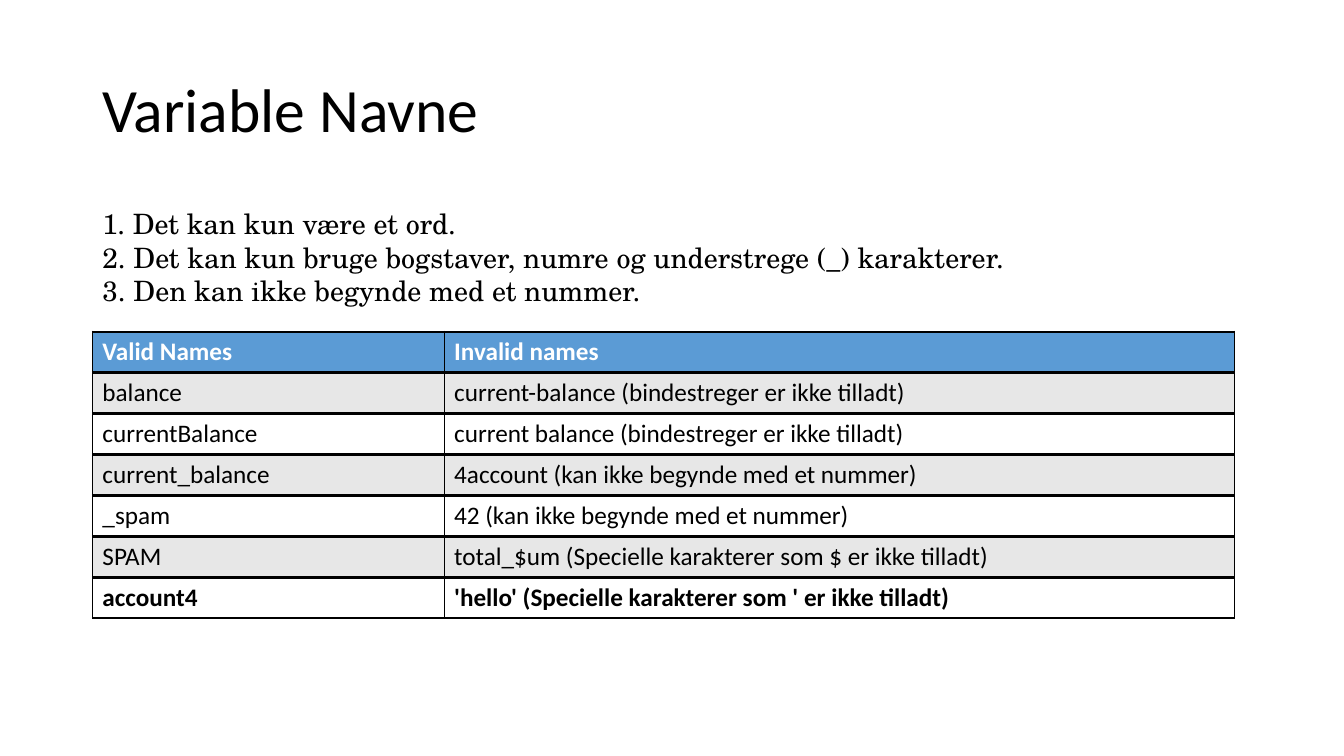
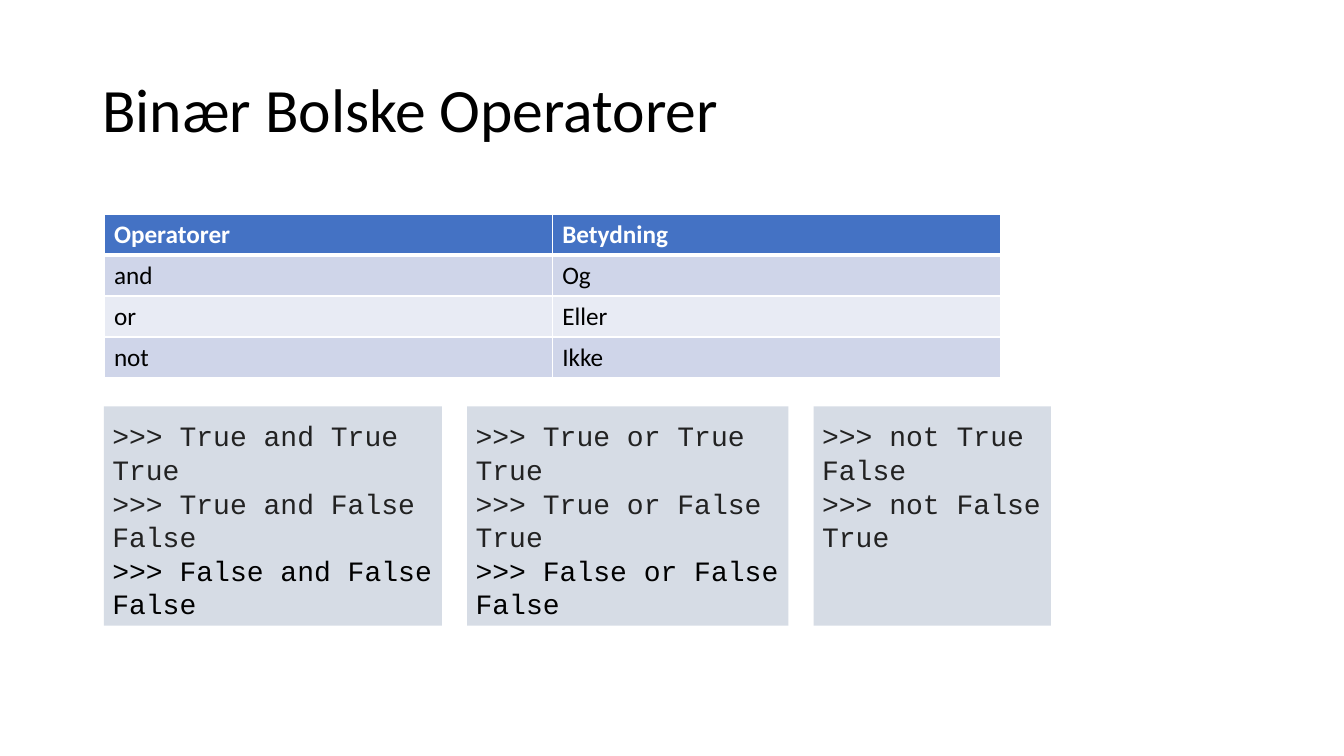
from lxml import etree
from pptx import Presentation
from pptx.dml.color import RGBColor
from pptx.enum.shapes import MSO_SHAPE
from pptx.enum.text import MSO_ANCHOR, PP_ALIGN
from pptx.oxml.ns import qn
from pptx.util import Emu, Pt

RECTANGLE = MSO_SHAPE.RECTANGLE
TOP, MIDDLE = MSO_ANCHOR.TOP, MSO_ANCHOR.MIDDLE
LEFT = PP_ALIGN.LEFT

BLACK = RGBColor(0x00, 0x00, 0x00)
WHITE = RGBColor(0xFF, 0xFF, 0xFF)
DARK_GRAY = RGBColor(0x22, 0x22, 0x22)
LIGHT_GRAY = RGBColor(0xE7, 0xE7, 0xE7)
SKY_BLUE = RGBColor(0x5B, 0x9B, 0xD5)
BLUE = RGBColor(0x44, 0x72, 0xC4)
BLUE_TINT = RGBColor(0xCF, 0xD5, 0xE9)
PALE_TINT = RGBColor(0xE8, 0xEB, 0xF4)
CODE_FILL = RGBColor(0xD6, 0xDC, 0xE5)

SANS, SERIF, MONO = "Calibri", "TeX Gyre Schola", "Courier New"
EMU_PER_PX = 9525
ROW_H = 39
CHAR_W, CODE_PADDING, CODE_GAP = 16, 18, 24
GRAY_CODE_LINES = 4

NAME_RULES = [
    " Det kan kun være et ord.",
    " Det kan kun bruge bogstaver, numre og understrege (_) karakterer.",
    " Den kan ikke begynde med et nummer.",
]
NAME_ROWS = [
    ("Valid Names", "Invalid names"),
    ("balance", "current-balance (bindestreger er ikke tilladt)"),
    ("currentBalance", "current balance (bindestreger er ikke tilladt)"),
    ("current_balance", "4account (kan ikke begynde med et nummer)"),
    ("_spam", "42 (kan ikke begynde med et nummer)"),
    ("SPAM", "total_$um (Specielle karakterer som $ er ikke tilladt)"),
    ("account4", "'hello' (Specielle karakterer som ' er ikke tilladt)"),
]
OPERATOR_ROWS = [
    ("Operatorer", "Betydning"),
    ("and", "Og"),
    ("or", "Eller"),
    ("not", "Ikke"),
]
CODE_EXAMPLES = [
    [">>> True and True", "True", ">>> True and False", "False",
     ">>> False and False", "False"],
    [">>> True or True", "True", ">>> True or False", "True",
     ">>> False or False", "False"],
    [">>> not True", "False", ">>> not False", "True"],
]


def px(*lengths):
    return [Emu(n * EMU_PER_PX) for n in lengths]


def style(p, font, size, color, bold=False):
    p.font.name = font
    p.font.size = Pt(size)
    p.font.color.rgb = color
    p.font.bold = bold


def add_paragraphs(tf, lines):
    """Fill an empty text frame and return its paragraphs."""
    for i, line in enumerate(lines):
        p = tf.paragraphs[0] if i == 0 else tf.add_paragraph()
        p.add_run().text = line
    return tf.paragraphs


def add_text(s, box, lines, font, size, anchor=TOP):
    tf = s.shapes.add_textbox(*px(*box)).text_frame
    tf.word_wrap = True
    tf.vertical_anchor = anchor
    paragraphs = add_paragraphs(tf, lines)
    for p in paragraphs:
        style(p, font, size, BLACK)
    return paragraphs


def add_titled_slide(prs, title):
    s = prs.slides.add_slide(prs.slide_layouts[6])
    p, = add_text(s, (88, 38, 1104, 139), [title], SANS, 44, MIDDLE)
    p.line_spacing = 0.9
    return s


def add_numbered_list(s, box, lines):
    for p in add_text(s, box, lines, SERIF, 20):
        pPr = p._p.get_or_add_pPr()
        pPr.set("marL", "0")
        pPr.set("indent", "0")
        number = etree.Element(qn("a:buAutoNum"), type="arabicPeriod")
        pPr.insert(0, number)


def set_borders(cell, color, widths):
    """Draw the borders; widths are points for left, right, top, bottom."""
    tcPr = cell._tc.get_or_add_tcPr()
    for side, width in zip("LRTB", widths):
        ln = etree.SubElement(tcPr, qn(f"a:ln{side}"), w=str(Pt(width)))
        fill = etree.SubElement(ln, qn("a:solidFill"))
        etree.SubElement(fill, qn("a:srgbClr"), val=str(color))


def add_table(s, left, top, col_widths, rows, header_fill, band_fills,
              border_color, border_widths, header_rule, bold_last=False):
    """Add a banded table; header_rule is the line width below the header."""
    size = px(left, top, sum(col_widths), ROW_H * len(rows))
    table = s.shapes.add_table(len(rows), len(col_widths), *size).table
    for column, width in zip(table.columns, px(*col_widths)):
        column.width = width
    side_w, rule_w = border_widths
    for i, values in enumerate(rows):
        table.rows[i].height = px(ROW_H)[0]
        above = header_rule if i == 1 else rule_w
        below = header_rule if i == 0 else rule_w
        bold = i == 0 or (bold_last and i == len(rows) - 1)
        for cell, value in zip(table.rows[i].cells, values):
            set_borders(cell, border_color, (side_w, side_w, above, below))
            cell.fill.solid()
            cell.fill.fore_color.rgb = (
                band_fills[(i - 1) % 2] if i else header_fill)
            p, = add_paragraphs(cell.text_frame, [value])
            style(p, SANS, 18, BLACK if i else WHITE, bold)


def add_code_box(s, left, top, width, height, lines):
    box = s.shapes.add_shape(RECTANGLE, *px(left, top, width, height))
    box.shadow.inherit = False
    box.fill.solid()
    box.fill.fore_color.rgb = CODE_FILL
    box.line.fill.background()
    tf = box.text_frame
    tf.word_wrap = False
    tf.vertical_anchor = TOP
    tf.margin_left, tf.margin_top, tf.margin_right, tf.margin_bottom = px(
        8, 12, 8, 0)
    for i, p in enumerate(add_paragraphs(tf, lines)):
        p.alignment = LEFT
        p.line_spacing = Pt(24)
        style(p, MONO, 20, DARK_GRAY if i < GRAY_CODE_LINES else BLACK)


def add_code_row(s, left, top, height, examples):
    """Place code boxes side by side, each as wide as its longest line."""
    for lines in examples:
        width = CHAR_W * max(map(len, lines)) + CODE_PADDING
        add_code_box(s, left, top, width, height, lines)
        left += width + CODE_GAP


def main():
    prs = Presentation()
    prs.slide_width, prs.slide_height = px(1280, 720)

    s = add_titled_slide(prs, "Variable Navne")
    add_numbered_list(s, (88, 192, 1104, 132), NAME_RULES)
    add_table(s, 88, 316, (335, 753), NAME_ROWS, SKY_BLUE,
              (LIGHT_GRAY, WHITE), BLACK, (1, 2), 2, bold_last=True)

    s = add_titled_slide(prs, "Binær Bolske Operatorer")
    add_table(s, 99, 204, (427, 427), OPERATOR_ROWS, BLUE,
              (BLUE_TINT, PALE_TINT), WHITE, (1, 1), 3)
    add_code_row(s, 99, 387, 209, CODE_EXAMPLES)

    prs.save("out.pptx")


if __name__ == "__main__":
    main()
